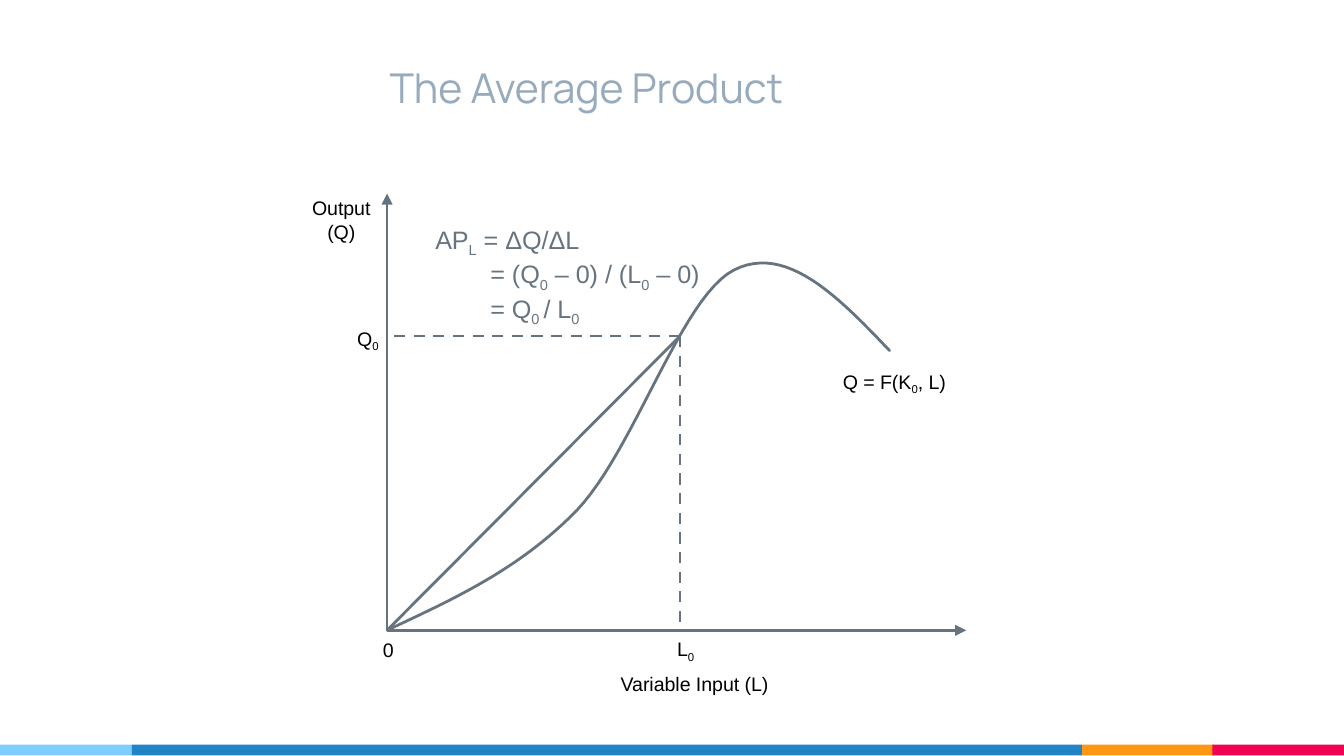
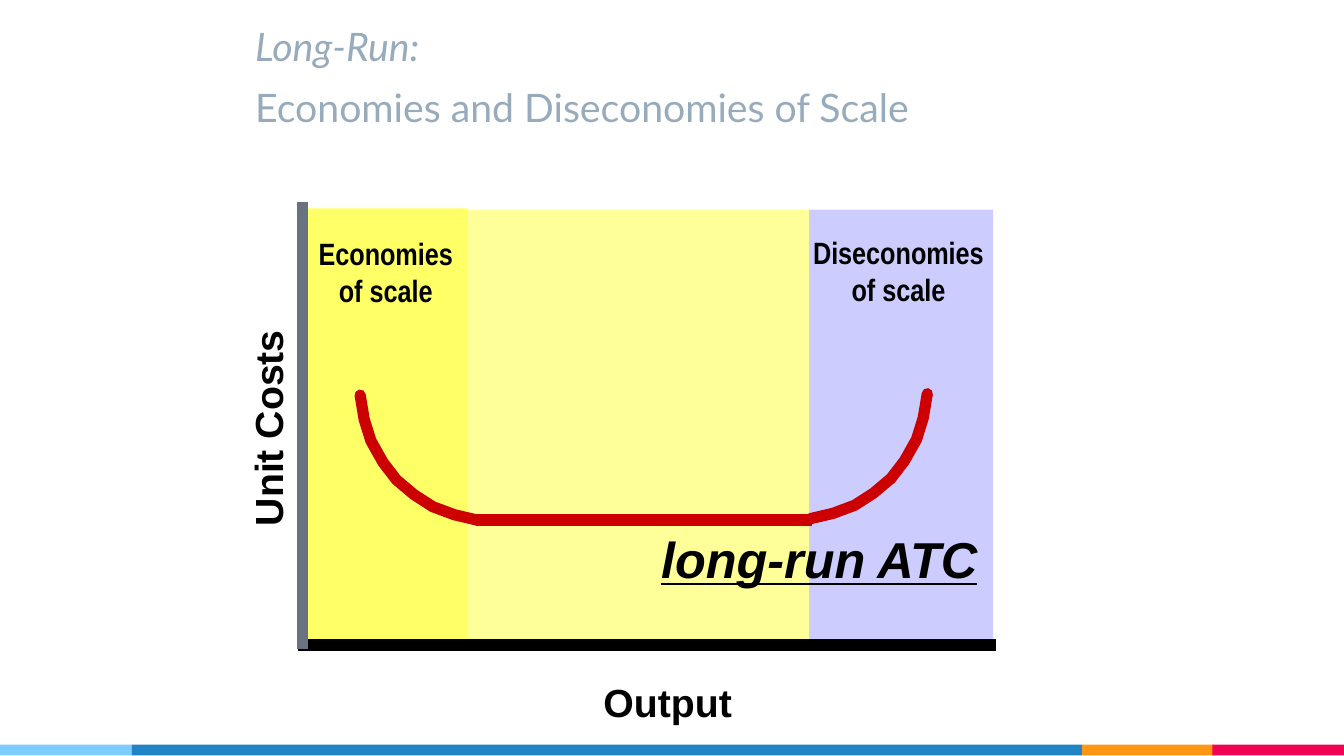
"""Build two slides on the average product and long-run economies of scale."""
from dataclasses import dataclass

from lxml import etree
from pptx import Presentation
from pptx.dml.color import RGBColor
from pptx.enum.dml import MSO_LINE
from pptx.enum.shapes import MSO_CONNECTOR, MSO_SHAPE
from pptx.enum.text import MSO_ANCHOR as Anchor, MSO_AUTO_SIZE as AutoSize, PP_ALIGN as Align
from pptx.oxml.ns import qn
from pptx.util import Inches, Pt


@dataclass(frozen=True)
class Theme:
    title: str = "97ABBC"
    slate: str = "677480"
    black: str = "000000"
    red: str = "CC0000"
    sky: str = "7ECEFD"
    blue: str = "2185C5"
    orange: str = "FF9715"
    pink: str = "F20253"
    lavender: str = "CCCCFF"
    pale_yellow: str = "FFFF99"
    yellow: str = "FFFF66"
    label_size: float = 10.5
    formula_size: float = 13.5
    zone_size: float = 16.5
    axis_size: float = 21
    curve_size: float = 27
    thin: float = 1.5
    thick: float = 6


theme = Theme()


def add_text(slide, box, lines, size, color=theme.black, font="Arial", bold=False,
             align=Align.LEFT, insets=(0.07, 0.04), title=False):
    shape = slide.shapes.add_textbox(*map(Inches, box))
    frame = shape.text_frame
    frame.word_wrap = title
    frame.auto_size = AutoSize.NONE if title else AutoSize.SHAPE_TO_FIT_TEXT
    frame.vertical_anchor = Anchor.BOTTOM if title else Anchor.TOP
    frame.margin_left = frame.margin_right = Inches(insets[0])
    frame.margin_top = frame.margin_bottom = Inches(insets[1])
    for number, line in enumerate(lines):
        paragraph = frame.add_paragraph() if number else frame.paragraphs[0]
        paragraph.alignment = align
        for position, text in enumerate(line.split("|")):
            if not text:
                continue
            run = paragraph.add_run()
            run.text = text
            run.font.name = font
            run.font.size = Pt(size)
            run.font.bold = bold
            run.font.color.rgb = RGBColor.from_string(color)
            if position % 2:
                run.font._element.set("baseline", "-25000")
    return shape


def add_path(slide, points, color, width, dashed=False, arrow=False):
    points = [(Inches(x), Inches(y)) for x, y in points]
    if len(points) == 2:
        shape = slide.shapes.add_connector(MSO_CONNECTOR.STRAIGHT, *points[0], *points[1])
    else:
        builder = slide.shapes.build_freeform(*points[0])
        builder.add_line_segments(points[1:], close=False)
        shape = builder.convert_to_shape()
        shape.fill.background()
    shape.line.color.rgb = RGBColor.from_string(color)
    shape.line.width = Pt(width)
    if dashed:
        shape.line.dash_style = MSO_LINE.DASH
    outline = shape.line._get_or_add_ln()
    if len(points) > 2:
        outline.set("cap", "rnd")
    if arrow:
        etree.SubElement(outline, qn("a:tailEnd"), type="triangle")
    etree.SubElement(shape._element.spPr, qn("a:effectLst"))


presentation = Presentation()
presentation.slide_width = Inches(10)
presentation.slide_height = Inches(5.625)
product_slide, scale_slide = [
    presentation.slides.add_slide(presentation.slide_layouts[6]) for _ in range(2)
]

bands = [
    (8.05, 5.54, 0.98, 0.08, theme.orange),
    (9.02, 5.54, 0.98, 0.08, theme.pink),
    (0, 5.54, 0.98, 0.08, theme.sky),
    (0.98, 5.54, 7.07, 0.08, theme.blue),
]
zones = [
    (6.02, 1.56, 1.37, 3.27, theme.lavender),
    (3.47, 1.56, 2.55, 3.27, theme.pale_yellow),
    (2.26, 1.55, 1.22, 3.27, theme.yellow),
]
for slide, rectangles in ((product_slide, bands), (scale_slide, bands + zones)):
    for *box, color in rectangles:
        shape = slide.shapes.add_shape(MSO_SHAPE.RECTANGLE, *map(Inches, box))
        shape.shadow.inherit = False
        shape.fill.solid()
        shape.fill.fore_color.rgb = RGBColor.from_string(color)
        shape.line.fill.background()

add_text(product_slide, (2.8, 0.39, 5.25, 0.54), ["The Average Product"], 22,
         theme.title, "Manrope", insets=(0.1, 0.1), title=True)

origin, tangent = (2.88, 4.69), (5.06, 2.5)
for end in ((2.88, 1.44), (7.19, 4.69)):
    add_path(product_slide, [origin, end], theme.slate, theme.thin, arrow=True)

curve = [origin]
for controls in (
    ((3.37, 4.46), (3.86, 4.24), (4.29, 3.8)),
    ((4.72, 3.35), (5.07, 2.21), (5.46, 2.01)),
    ((5.85, 1.81), (6.24, 2.21), (6.62, 2.61)),
):
    corners = list(zip(curve[-1], *controls))
    for step in range(1, 25):
        t = step / 24
        curve.append(tuple(
            a * (1 - t) ** 3 + 3 * b * t * (1 - t) ** 2 + 3 * c * t ** 2 * (1 - t) + d * t ** 3
            for a, b, c, d in corners
        ))
add_path(product_slide, curve, theme.slate, theme.thin)
add_path(product_slide, [origin, tangent], theme.slate, theme.thin)
for foot in ((5.06, 4.69), (2.88, 2.5)):
    add_path(product_slide, [tangent, foot], theme.slate, theme.thin, dashed=True)

for box, lines, align in (
    ((2.22, 1.41, 0.64, 0.45), ["Output", "(Q)"], Align.CENTER),
    ((4.52, 4.95, 1.33, 0.28), ["Variable Input (L)"], Align.LEFT),
    ((2.75, 4.7, 0.28, 0.28), ["0"], Align.LEFT),
    ((4.94, 4.69, 0.34, 0.28), ["L|0"], Align.LEFT),
    ((6.16, 2.7, 0.99, 0.28), ["Q = F(K|0|, L)"], Align.CENTER),
    ((2.56, 2.38, 0.37, 0.28), ["Q|0"], Align.LEFT),
):
    add_text(product_slide, box, lines, theme.label_size, align=align, insets=(0.1, 0.05))

formula = add_text(
    product_slide, (3.14, 1.62, 2.22, 0.78),
    ["AP|L| = ΔQ/ΔL", "= (Q|0| – 0) / (L|0| – 0)", "= Q|0 |/ L|0"],
    theme.formula_size, theme.slate, insets=(0.1, 0.05))
for paragraph in formula.text_frame.paragraphs[1:]:
    paragraph._p.get_or_add_pPr().set("marL", str(Inches(0.41)))

heading = add_text(scale_slide, (1.8, 0.32, 6.95, 0.75),
                   ["Long-Run:", "Economies and Diseconomies of Scale"], 21,
                   theme.title, "Lato", insets=(0.1, 0.1), title=True)
first, second = heading.text_frame.paragraphs
first.runs[0].font.italic = True
second.space_before = Pt(7.5)

unit_costs = add_text(scale_slide, (1.18, 2.96, 1.62, 0.43), ["Unit Costs"],
                      theme.axis_size, bold=True)
unit_costs.rotation = 270
add_text(scale_slide, (4.42, 5.01, 1.12, 0.43), ["Output"], theme.axis_size, bold=True)
curve_label = add_text(scale_slide, (4.85, 3.89, 2.57, 0.53), ["long-run ATC"],
                       theme.curve_size, bold=True)
curve_font = curve_label.text_frame.paragraphs[0].runs[0].font
curve_font.italic = curve_font.underline = True
for box, name in (((2.29, 1.71, 1.16, 0.63), "Economies"),
                  ((5.97, 1.7, 1.43, 0.63), "Diseconomies")):
    add_text(scale_slide, box, [name, "of scale"], theme.zone_size,
             font="Arial Narrow", bold=True, align=Align.CENTER)

falling = [(2.68, 2.94), (2.71, 3.12), (2.76, 3.28), (2.85, 3.44), (2.95, 3.57),
           (3.08, 3.68), (3.22, 3.77), (3.38, 3.83), (3.55, 3.87)]
rising = [(9.58 - x, y - 0.01) for x, y in falling]
for points, color in (
    ([(2.22, 4.8), (7.41, 4.8)], theme.black),
    ([(2.25, 1.5), (2.25, 4.83)], theme.slate),
    ([(3.54, 3.87), (6.04, 3.87)], theme.red),
    (falling, theme.red),
    (rising, theme.red),
):
    add_path(scale_slide, points, color, theme.thick)

presentation.save("out.pptx")
